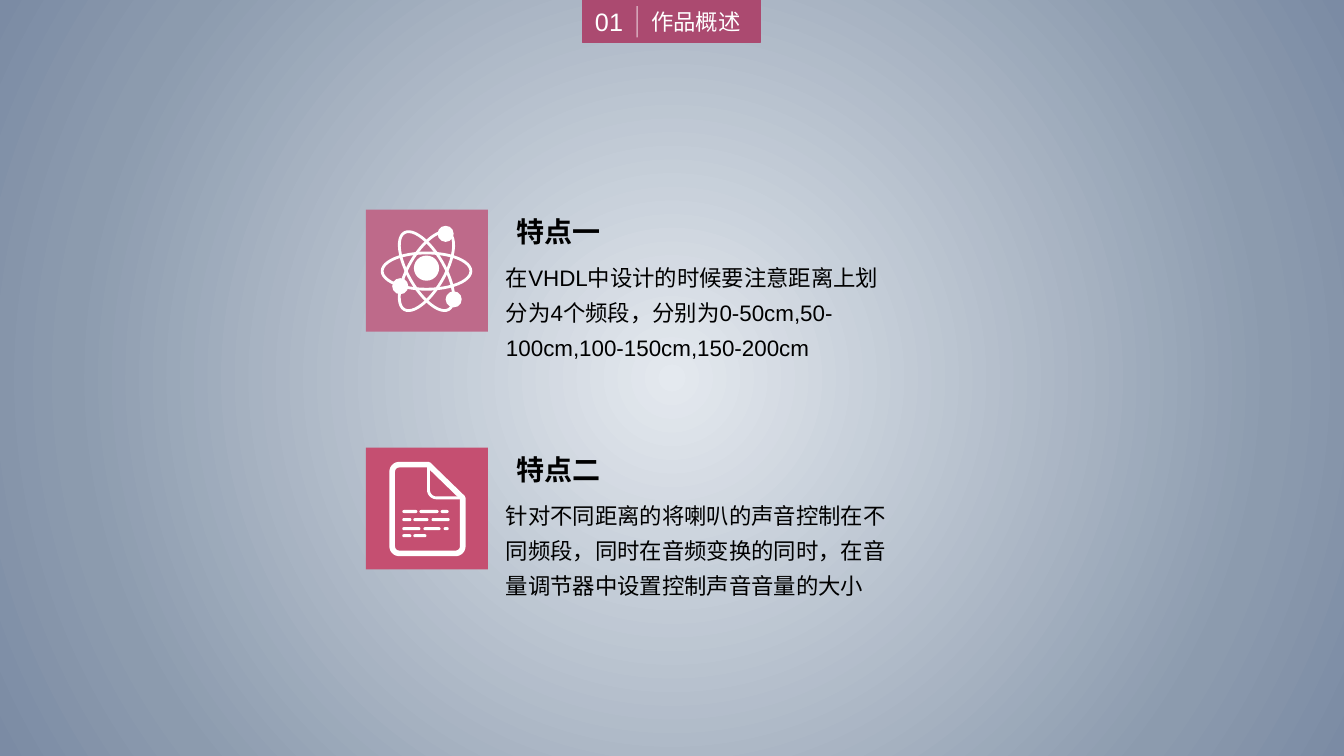
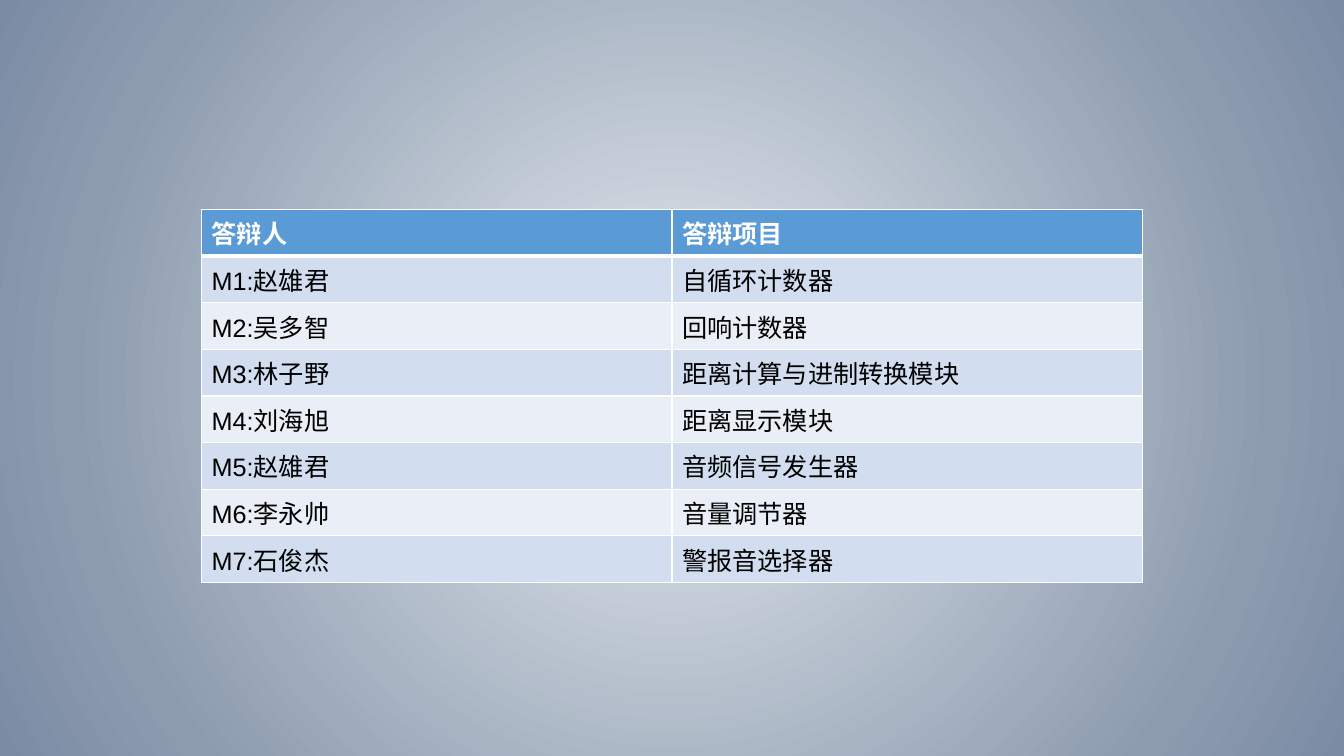
from math import cos, radians, sin
from typing import Callable, NamedTuple

from lxml.etree import SubElement
from pptx import Presentation
from pptx.dml.color import RGBColor
from pptx.enum.shapes import MSO_CONNECTOR, MSO_SHAPE
from pptx.enum.text import MSO_ANCHOR, MSO_AUTO_SIZE, PP_ALIGN
from pptx.oxml.ns import qn
from pptx.presentation import Presentation as Deck
from pptx.shapes.autoshape import Shape
from pptx.slide import Slide
from pptx.table import _Cell as Cell
from pptx.util import Inches, Pt

FONT = "Arial"
COLORS = {
    "glow": "E4E9EF", "mist": "8C9BAE", "edge": "7B8BA4",
    "banner": "AB4A70", "rose": "BE6A8A", "crimson": "C54F71",
    "white": "FFFFFF", "black": "000000",
    "header": "5B9BD5", "odd_row": "D2DEEF", "even_row": "EAEFF7",
}
BACKDROP_STOPS = [(0, "glow"), (78, "mist"), (100, "edge")]

Point = tuple[float, float]


class Box(NamedTuple):
    left: float
    top: float
    width: float
    height: float

    def emu(self) -> list[int]:
        return [Inches(length) for length in self]


class TextStyle(NamedTuple):
    size: int
    color: str = "black"
    bold: bool = False
    align: PP_ALIGN = PP_ALIGN.LEFT
    anchor: MSO_ANCHOR = MSO_ANCHOR.TOP
    spacing: float = 1.0
    wrap: bool = True


class Feature(NamedTuple):
    top: float
    tile: str
    draw_icon: Callable[[Slide], None]
    heading: str
    body: str


HEADING = TextStyle(20, bold=True, align=PP_ALIGN.RIGHT, wrap=False)
BODY = TextStyle(16, spacing=1.3)
BANNER_TITLE = TextStyle(16, "white", anchor=MSO_ANCHOR.MIDDLE)
BANNER_NUMBER = TextStyle(18, "white", align=PP_ALIGN.CENTER, anchor=MSO_ANCHOR.MIDDLE)
TABLE_HEAD = TextStyle(18, "white", bold=True)
TABLE_BODY = TextStyle(18)


def rgb(name: str) -> RGBColor:
    return RGBColor.from_string(COLORS[name])


# Shared building blocks
def set_backdrop(deck: Deck) -> None:
    """Give the master a radial gradient, so every slide inherits it."""
    master = deck.slide_master
    master.background.fill.gradient()
    gradient = next(master.element.iter(qn("a:gradFill")))
    for child in list(gradient):
        gradient.remove(child)
    stops = SubElement(gradient, qn("a:gsLst"))
    for percent, name in BACKDROP_STOPS:
        stop = SubElement(stops, qn("a:gs"), pos=str(percent * 1000))
        SubElement(stop, qn("a:srgbClr"), val=COLORS[name])
    circle = SubElement(gradient, qn("a:path"), path="circle")
    SubElement(circle, qn("a:fillToRect"), l="50000", t="50000", r="50000", b="50000")


def paint(shape: Shape, fill: str | None, line: str | None = None, weight: float = 1) -> None:
    shape.shadow.inherit = False
    if fill:
        shape.fill.solid()
        shape.fill.fore_color.rgb = rgb(fill)
    else:
        shape.fill.background()
    if line:
        shape.line.color.rgb = rgb(line)
        shape.line.width = Pt(weight)
    else:
        shape.line.fill.background()


def add_preset(slide: Slide, kind: MSO_SHAPE, box: Box, fill: str | None,
               line: str | None = None, weight: float = 1) -> Shape:
    shape = slide.shapes.add_shape(kind, *box.emu())
    paint(shape, fill, line, weight)
    return shape


def write(frame, text: str, style: TextStyle) -> None:
    paragraph = frame.paragraphs[0]
    paragraph.alignment = style.align
    paragraph.line_spacing = style.spacing
    run = paragraph.add_run()
    run.text = text
    run.font.name = FONT
    run.font.size = Pt(style.size)
    run.font.bold = style.bold
    run.font.color.rgb = rgb(style.color)


def add_text(slide: Slide, box: Box, text: str, style: TextStyle) -> None:
    frame = slide.shapes.add_textbox(*box.emu()).text_frame
    frame.word_wrap = style.wrap
    frame.auto_size = MSO_AUTO_SIZE.SHAPE_TO_FIT_TEXT
    frame.vertical_anchor = style.anchor
    write(frame, text, style)


def add_outline(slide: Slide, points: list[Point], closed: bool, weight: float) -> None:
    start, *rest = [(Inches(x), Inches(y)) for x, y in points]
    builder = slide.shapes.build_freeform(*start, scale=1.0)
    builder.add_line_segments(rest, close=closed)
    paint(builder.convert_to_shape(), None, "white", weight)


def arc(x: float, y: float, radius: float, start: int, end: int) -> list[Point]:
    """Points of an arc around (x, y), angles in degrees, y pointing down."""
    steps = 8
    angles = [radians(start + (end - start) * i / steps) for i in range(steps + 1)]
    return [(x + radius * cos(a), y + radius * sin(a)) for a in angles]


def add_banner(slide: Slide, number: str, title: str) -> None:
    add_preset(slide, MSO_SHAPE.RECTANGLE, Box(5.78, 0, 1.76, 0.42), "banner", "banner")
    add_text(slide, Box(6.36, 0.03, 1.18, 0.37), title, BANNER_TITLE)
    add_text(slide, Box(5.78, 0.01, 0.52, 0.4), number, BANNER_NUMBER)
    divider = slide.shapes.add_connector(
        MSO_CONNECTOR.STRAIGHT, Inches(6.32), Inches(0.06), Inches(6.32), Inches(0.37))
    divider.line.color.rgb = rgb("white")
    divider.line.width = Pt(1)
    SubElement(next(divider.element.iter(qn("a:srgbClr"))), qn("a:alpha"), val="49000")
    SubElement(divider.element.spPr, qn("a:effectLst"))


# Icons
def draw_atom(slide: Slide) -> None:
    for angle in (0, 60, -60):
        orbit = add_preset(slide, MSO_SHAPE.OVAL, Box(3.79, 2.51, 0.88, 0.36), None, "white", 2)
        orbit.rotation = angle
    # Nucleus, then the three electrons
    for x, y, size in [(4.23, 2.66, 0.25), (4.42, 2.32, 0.16), (3.97, 2.84, 0.16), (4.5, 2.97, 0.16)]:
        add_preset(slide, MSO_SHAPE.OVAL, Box(x - size / 2, y - size / 2, size, size), "white")


def draw_document(slide: Slide) -> None:
    left, top, right, bottom, radius = 3.89, 4.61, 4.59, 5.49, 0.07
    fold_x, fold_y = 4.25, 4.94
    page = (arc(left + radius, top + radius, radius, 180, 270)
            + [(fold_x, top), (right, fold_y)]
            + arc(right - radius, bottom - radius, radius, 0, 90)
            + arc(left + radius, bottom - radius, radius, 90, 180))
    add_outline(slide, page, True, 4)
    fold = [(fold_x, top)] + arc(fold_x + 0.08, fold_y - 0.08, 0.08, 180, 90) + [(right, fold_y)]
    add_outline(slide, fold, False, 2)
    # Lines of writing: left edge and width of each dash
    dash_rows = {
        5.06: [(3.99, 0.15), (4.16, 0.19), (4.37, 0.08)],
        5.14: [(3.99, 0.09), (4.1, 0.15), (4.28, 0.18)],
        5.23: [(3.99, 0.18), (4.2, 0.17), (4.4, 0.05)],
        5.3: [(3.99, 0.09), (4.1, 0.13)],
    }
    for y, dashes in dash_rows.items():
        for x, width in dashes:
            dash = add_preset(slide, MSO_SHAPE.ROUNDED_RECTANGLE, Box(x, y, width, 0.03), "white")
            dash.adjustments[0] = 0.5


# Slide 1: features
FEATURES = [
    Feature(2.08, "rose", draw_atom, "特点一",
            "在VHDL中设计的时候要注意距离上划分为4个频段，分别为0-50cm,50-100cm,100-150cm,150-200cm"),
    Feature(4.44, "crimson", draw_document, "特点二",
            "针对不同距离的将喇叭的声音控制在不同频段，同时在音频变换的同时，在音量调节器中设置控制声音音量的大小"),
]


def build_features(slide: Slide) -> None:
    add_banner(slide, "01", "作品概述")
    for feature in FEATURES:
        # Wide enough to keep the three characters on one line
        add_text(slide, Box(4.92, feature.top, 1.14, 0.44), feature.heading, HEADING)
        add_text(slide, Box(4.92, feature.top + 0.41, 4.08, 1.15), feature.body, BODY)
        add_preset(slide, MSO_SHAPE.RECTANGLE, Box(3.63, feature.top, 1.21, 1.21), feature.tile)
        feature.draw_icon(slide)


# Slide 2: who presents what
ASSIGNMENTS = [
    ("答辩人", "答辩项目"),
    ("M1:赵雄君", "自循环计数器"),
    ("M2:吴多智", "回响计数器"),
    ("M3:林子野", "距离计算与进制转换模块"),
    ("M4:刘海旭", "距离显示模块"),
    ("M5:赵雄君", "音频信号发生器"),
    ("M6:李永帅", "音量调节器"),
    ("M7:石俊杰", "警报音选择器"),
]


def set_borders(cell: Cell, top: float, bottom: float) -> None:
    properties = cell._tc.get_or_add_tcPr()
    for side, weight in (("L", 1), ("R", 1), ("T", top), ("B", bottom)):
        border = SubElement(properties, qn(f"a:ln{side}"), w=str(Pt(weight)))
        fill = SubElement(border, qn("a:solidFill"))
        SubElement(fill, qn("a:srgbClr"), val=COLORS["white"])


def build_assignments(slide: Slide) -> None:
    box = Box(2, 2.08, 9.33, 3.32)
    table = slide.shapes.add_table(len(ASSIGNMENTS), 2, *box.emu()).table
    for row, texts in enumerate(ASSIGNMENTS):
        fill = "header" if row == 0 else "odd_row" if row % 2 else "even_row"
        for column, text in enumerate(texts):
            cell = table.cell(row, column)
            set_borders(cell, top=3 if row == 1 else 1, bottom=3 if row == 0 else 1)
            cell.fill.solid()
            cell.fill.fore_color.rgb = rgb(fill)
            write(cell.text_frame, text, TABLE_BODY if row else TABLE_HEAD)


def main() -> None:
    deck = Presentation()
    deck.slide_width, deck.slide_height = Inches(13.33), Inches(7.5)
    set_backdrop(deck)
    blank = deck.slide_layouts[6]
    for build in (build_features, build_assignments):
        build(deck.slides.add_slide(blank))
    deck.save("out.pptx")


if __name__ == "__main__":
    main()
